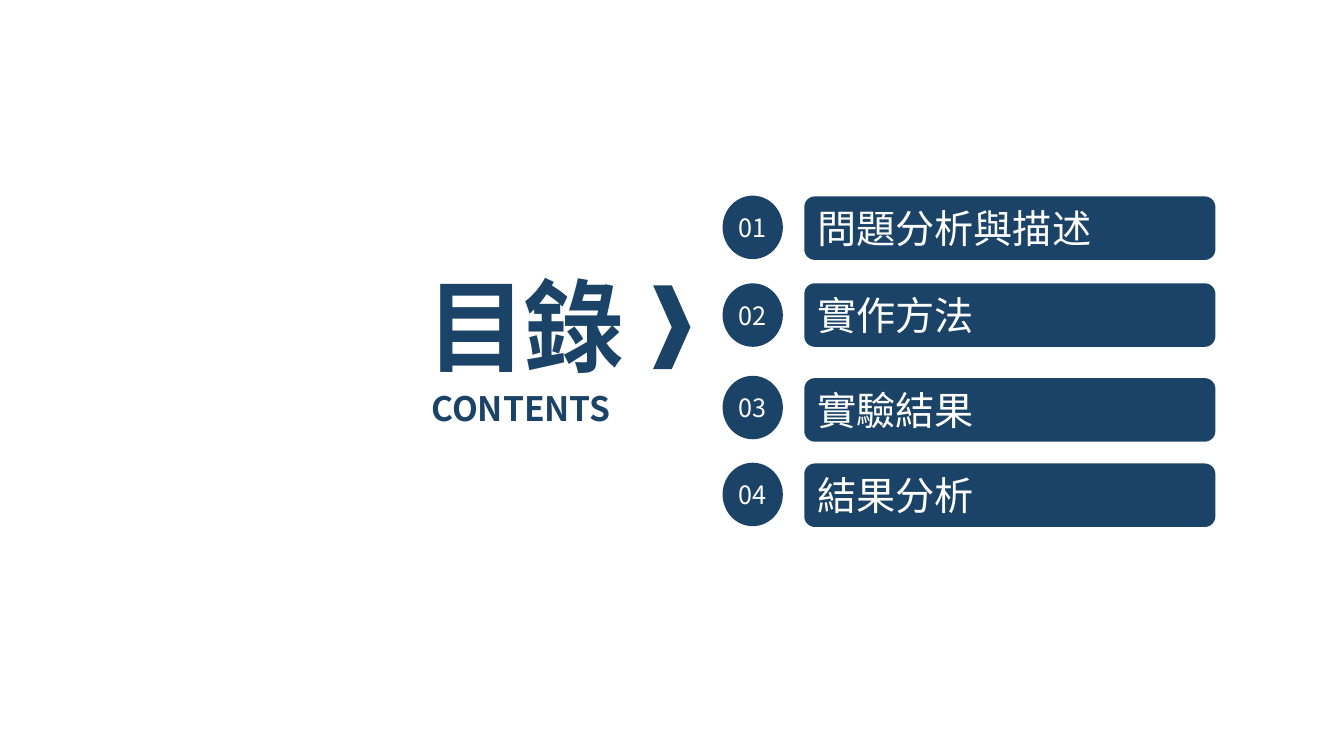
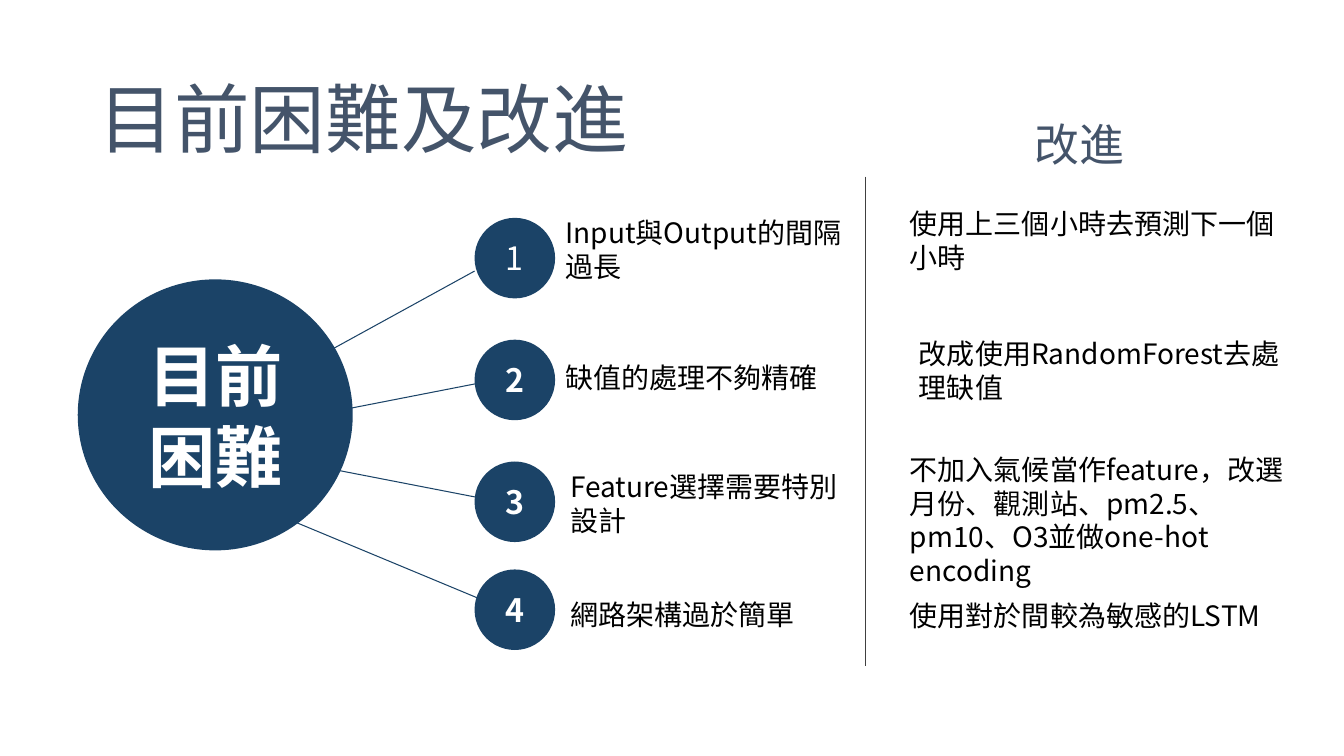
from lxml import etree
from pptx import Presentation
from pptx.dml.color import RGBColor
from pptx.enum import shapes, text
from pptx.oxml import ns
from pptx.util import Cm, Pt

FONT = "Noto Sans CJK SC"
NAVY = RGBColor(0x1B, 0x43, 0x67)
SLATE = RGBColor(0x44, 0x54, 0x6A)
GRAY = RGBColor(0x40, 0x40, 0x40)
WHITE = RGBColor(0xFF, 0xFF, 0xFF)
BLACK = RGBColor(0, 0, 0)

SHAPE = shapes.MSO_SHAPE
ALIGN = text.PP_ALIGN

BAR = {"size": Pt(28), "color": WHITE}
BADGE = {"size": Pt(18), "color": WHITE}
NUMBER = {"size": Pt(23), "color": WHITE}
HUB = {"size": Pt(48), "color": WHITE, "bold": True}
TITLE = {"size": Pt(54), "color": SLATE}
SUBTITLE = {"size": Pt(32), "color": SLATE}
BODY = {"size": Pt(20), "color": BLACK}
CONTENTS = {"size": Pt(72), "color": NAVY, "bold": True}
CAPTION = {"size": Pt(24), "color": NAVY, "bold": True}

AGENDA = [
    ("問題分析與描述", 4.95, 4.93),
    ("實作方法", 7.14, 7.14),
    ("實驗結果", 9.53, 9.47),
    ("結果分析", 11.68, 11.66),
]
ISSUES = [
    ("Input與Output的間隔過長", 14, 5.31, 5.49),
    ("缺值的處理不夠精確", 14, 8.97, 8.56),
    ("Feature選擇需要特別設計", 14.12, 11.71, 11.63),
    ("網路架構過於簡單", 14.12, 14.94, 14.35),
]
FIXES = [
    ("使用上三個小時去預測下一個小時", 22.68, 5.08),
    ("改成使用RandomForest去處理缺值", 22.91, 8.36),
    ("不加入氣候當作feature，改選月份、觀測站、pm2.5、pm10、O3並做one-hot encoding",
     22.68, 11.28),
    ("使用對於間較為敏感的LSTM", 22.68, 14.96),
]
SPOKES = [
    (8.26, 8.86, 11.96, 6.83),
    (8.56, 10.34, 12.45, 9.58),
    (8.56, 11.86, 12.73, 12.67),
    (7.21, 13.06, 12.45, 15.24),
]


def write(tf, content, style, align=ALIGN.LEFT, spacing=None):
    for i, line in enumerate(content.split("\n")):
        p = tf.paragraphs[0] if i == 0 else tf.add_paragraph()
        p.alignment = align
        r = p.add_run()
        r.text = line
        r.font.name = FONT
        for key, value in style.items():
            if key == "color":
                r.font.color.rgb = value
            else:
                setattr(r.font, key, value)
        rPr = r._r.get_or_add_rPr()
        etree.SubElement(rPr, ns.qn("a:ea"), typeface=FONT)
        if spacing is not None:
            rPr.set("spc", str(spacing))


def add_text(s, content, box, style, spacing=None):
    tf = s.shapes.add_textbox(*map(Cm, box)).text_frame
    tf.word_wrap = True
    write(tf, content, style, spacing=spacing)


def add_filled(s, kind, box):
    sp = s.shapes.add_shape(kind, *map(Cm, box))
    sp.shadow.inherit = False
    sp.fill.solid()
    sp.fill.fore_color.rgb = NAVY
    sp.line.fill.background()
    return sp


def add_bar(s, content, box):
    tf = add_filled(s, SHAPE.ROUNDED_RECTANGLE, box).text_frame
    tf.vertical_anchor = text.MSO_ANCHOR.MIDDLE
    write(tf, content, BAR)


def add_circle(s, content, box, style):
    tf = add_filled(s, SHAPE.OVAL, box).text_frame
    tf.word_wrap = False
    tf.vertical_anchor = text.MSO_ANCHOR.MIDDLE
    for side in ("left", "top", "right", "bottom"):
        setattr(tf, f"margin_{side}", 0)
    write(tf, content, style, ALIGN.CENTER)


def add_line(s, ends, color):
    line = s.shapes.add_connector(shapes.MSO_CONNECTOR.STRAIGHT, *map(Cm, ends))
    line.line.color.rgb = color
    line.line.width = Pt(0.75)
    etree.SubElement(line._element.spPr, ns.qn("a:effectLst"))


def build_contents(s):
    add_text(s, "目錄", (10.49, 6.53, 5.97, 3.33), CONTENTS, spacing=-220)
    add_text(s, "CONTENTS", (10.62, 9.65, 5.87, 1.27), CAPTION)
    add_filled(s, SHAPE.CHEVRON, (16.46, 7.19, 0.94, 2.11))
    for i, (topic, bar_top, badge_top) in enumerate(AGENDA, 1):
        add_bar(s, topic, (20.27, bar_top, 10.36, 1.6))
        add_circle(s, f"{i:02}", (18.21, badge_top, 1.52, 1.6), BADGE)


def build_difficulties(s):
    for ends in SPOKES:
        add_line(s, ends, NAVY)
    add_circle(s, "目前\n困難", (1.96, 7.04, 6.93, 6.83), HUB)
    add_text(s, "目前困難及改進", (2.24, 1.7, 14.43, 2.57), TITLE)
    for i, (issue, left, top, circle_top) in enumerate(ISSUES, 1):
        add_circle(s, str(i), (11.96, circle_top, 2.03, 2.03),
                   {**NUMBER, "bold": i > 1})
        add_text(s, issue, (left, top, 7.82, 1.96), BODY)
    add_line(s, (21.82, 4.45, 21.82, 16.79), GRAY)
    add_text(s, "改進", (25.83, 2.82, 3.4, 1.63), SUBTITLE)
    for fix, left, top in FIXES:
        add_text(s, fix, (left, top, 10.26, 1.96), BODY)


def main():
    prs = Presentation()
    prs.slide_width, prs.slide_height = Cm(33.87), Cm(19.05)
    for build in (build_contents, build_difficulties):
        build(prs.slides.add_slide(prs.slide_layouts[6]))
    prs.save("out.pptx")


if __name__ == "__main__":
    main()
